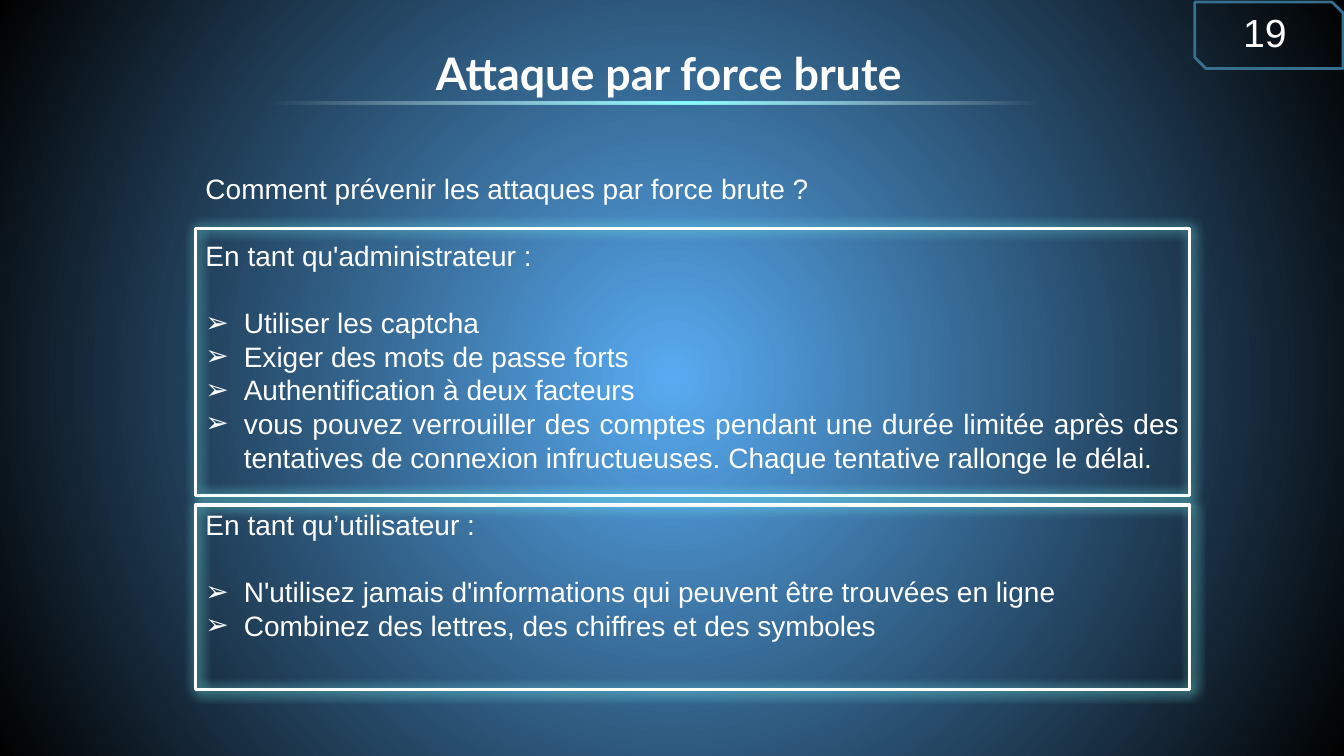
from dataclasses import dataclass

import pptx
import pptx.dml.color
import pptx.enum.shapes
import pptx.enum.text
import pptx.oxml
import pptx.oxml.ns
import pptx.util

WIDTH, HEIGHT = pptx.util.Inches(13.33), pptx.util.Inches(7.5)
WHITE = "FFFFFF"
BODY_SIZE = 20
LINE_HEIGHT = 1.2
INDENT = pptx.util.Inches(0.38)
SHAPES = pptx.enum.shapes.MSO_SHAPE
ALIGN = pptx.enum.text.PP_ALIGN


@dataclass
class Area:
    """Left, top, width and height in percent of the slide's size."""
    left: float
    top: float
    width: float
    height: float

    def lengths(self) -> tuple[int, int, int, int]:
        return (int(WIDTH * self.left / 100), int(HEIGHT * self.top / 100),
                int(WIDTH * self.width / 100), int(HEIGHT * self.height / 100))


@dataclass
class Line:
    text: str
    bullet: bool = False
    gap: bool = False


@dataclass
class Label:
    area: Area
    lines: list[Line]
    size: int
    font: str = "Arial"
    bold: bool = False
    align: ALIGN = ALIGN.LEFT


@dataclass
class Stop:
    position: int
    colour: str
    opacity: int = 100


@dataclass
class Outline:
    area: Area
    kind: SHAPES
    colour: str
    weight: float
    glow: bool = False


COLUMN_LEFT, COLUMN_WIDTH = 14.55, 73.97

LABELS = [
    Label(Area(26.33, 5.33, 46.88, 8.53), [Line("Attaque par force brute")],
          32, "Lato", True, ALIGN.CENTER),
    Label(Area(COLUMN_LEFT, 22, COLUMN_WIDTH, 68.67), [
        Line("Comment prévenir les attaques par force brute ?"),
        Line("En tant qu'administrateur :", gap=True),
        Line("Utiliser les captcha", bullet=True, gap=True),
        Line("Exiger des mots de passe forts", bullet=True),
        Line("Authentification à deux facteurs", bullet=True),
        Line("vous pouvez verrouiller des comptes pendant une durée limitée après des "
             "tentatives de connexion infructueuses. Chaque tentative rallonge le délai.",
             bullet=True),
        Line("En tant qu’utilisateur :", gap=True),
        Line("N'utilisez jamais d'informations qui peuvent être trouvées en ligne",
             bullet=True, gap=True),
        Line("Combinez des lettres, des chiffres et des symboles", bullet=True),
    ], BODY_SIZE, align=ALIGN.JUSTIFY),
    Label(Area(91.75, 0.5, 5.33, 7.6), [Line("19")], 28),
]

OUTLINES = [
    Outline(Area(COLUMN_LEFT, 30.27, COLUMN_WIDTH, 35.33), SHAPES.RECTANGLE, WHITE, 2.25, True),
    Outline(Area(COLUMN_LEFT, 66.8, COLUMN_WIDTH, 24.4), SHAPES.RECTANGLE, WHITE, 2.25, True),
    Outline(Area(88.9, 0.27, 11.03, 8.8), SHAPES.SNIP_2_DIAG_RECTANGLE, "37708F", 2),
]

TITLE_RULE = Area(COLUMN_LEFT, 13.47, 70.44, 0.4)
RULE_STOPS = [Stop(0, WHITE, 0), Stop(11, WHITE, 0), Stop(48, "8CFFFF"),
              Stop(92, WHITE, 0), Stop(100, WHITE, 0)]
BACKGROUND_STOPS = [Stop(0, "58ABF1"), Stop(100, "010101")]
LINEAR = '<a:lin ang="10800000" scaled="0"/>'
RADIAL = '<a:path path="circle"><a:fillToRect l="50000" t="50000" r="50000" b="50000"/></a:path>'


def rgb(colour: str) -> pptx.dml.color.RGBColor:
    return pptx.dml.color.RGBColor.from_string(colour)


def xml(tag: str, attributes: str = "", content: str = ""):
    """Make one element of the drawing namespace."""
    namespace = pptx.oxml.ns.nsdecls("a")
    return pptx.oxml.parse_xml(f"<a:{tag} {namespace} {attributes}>{content}</a:{tag}>")


def set_gradient(fill, owner, stops: list[Stop], direction: str) -> None:
    """Give the owner of the fill a gradient with transparent stops."""
    fill.solid()
    fill.fore_color.rgb = rgb(WHITE)
    solid = next(owner.iter(pptx.oxml.ns.qn("a:solidFill")))
    marks = "".join(
        f'<a:gs pos="{stop.position * 1000}"><a:srgbClr val="{stop.colour}">'
        f'<a:alpha val="{stop.opacity * 1000}"/></a:srgbClr></a:gs>' for stop in stops)
    gradient = xml("gradFill", 'rotWithShape="1"', f"<a:gsLst>{marks}</a:gsLst>{direction}")
    solid.getparent().replace(solid, gradient)


def add_rule(slide) -> None:
    shape = slide.shapes.add_shape(SHAPES.RECTANGLE, *TITLE_RULE.lengths())
    shape.shadow.inherit = False
    shape.line.fill.background()
    set_gradient(shape.fill, shape.element, RULE_STOPS, LINEAR)


def add_outline(slide, outline: Outline) -> None:
    shape = slide.shapes.add_shape(outline.kind, *outline.area.lengths())
    shape.shadow.inherit = False
    shape.fill.background()
    shape.line.color.rgb = rgb(outline.colour)
    shape.line.width = pptx.util.Pt(outline.weight)
    if outline.glow:
        effects = shape.element.spPr.find(pptx.oxml.ns.qn("a:effectLst"))
        blur, distance = pptx.util.Pt(9), pptx.util.Pt(1.5)
        effects.append(xml("outerShdw", f'blurRad="{blur}" dist="{distance}" dir="0"',
                           '<a:srgbClr val="7EFFFF"/>'))


def add_label(slide, label: Label) -> None:
    frame = slide.shapes.add_textbox(*label.area.lengths()).text_frame
    frame.word_wrap = True
    pitch = pptx.util.Pt(label.size * LINE_HEIGHT)
    for index, line in enumerate(label.lines):
        paragraph = frame.add_paragraph() if index else frame.paragraphs[0]
        paragraph.text = line.text
        paragraph.alignment = label.align
        paragraph.line_spacing = pitch
        if line.gap:
            paragraph.space_before = pitch
        if line.bullet:
            properties = paragraph._p.get_or_add_pPr()
            properties.set("marL", str(INDENT))
            properties.set("indent", str(-INDENT))
            properties.append(xml("buFont", 'typeface="Arial"'))
            properties.append(xml("buChar", 'char="➢"'))
        for run in paragraph.runs:
            run.font.name = label.font
            run.font.size = pptx.util.Pt(label.size)
            run.font.bold = label.bold
            run.font.color.rgb = rgb(WHITE)


def main() -> None:
    presentation = pptx.Presentation()
    presentation.slide_width, presentation.slide_height = WIDTH, HEIGHT
    slide = presentation.slides.add_slide(presentation.slide_layouts[6])
    set_gradient(slide.background.fill, slide.element, BACKGROUND_STOPS, RADIAL)
    add_rule(slide)
    for outline in OUTLINES:
        add_outline(slide, outline)
    for label in LABELS:
        add_label(slide, label)
    presentation.save("out.pptx")


if __name__ == "__main__":
    main()
